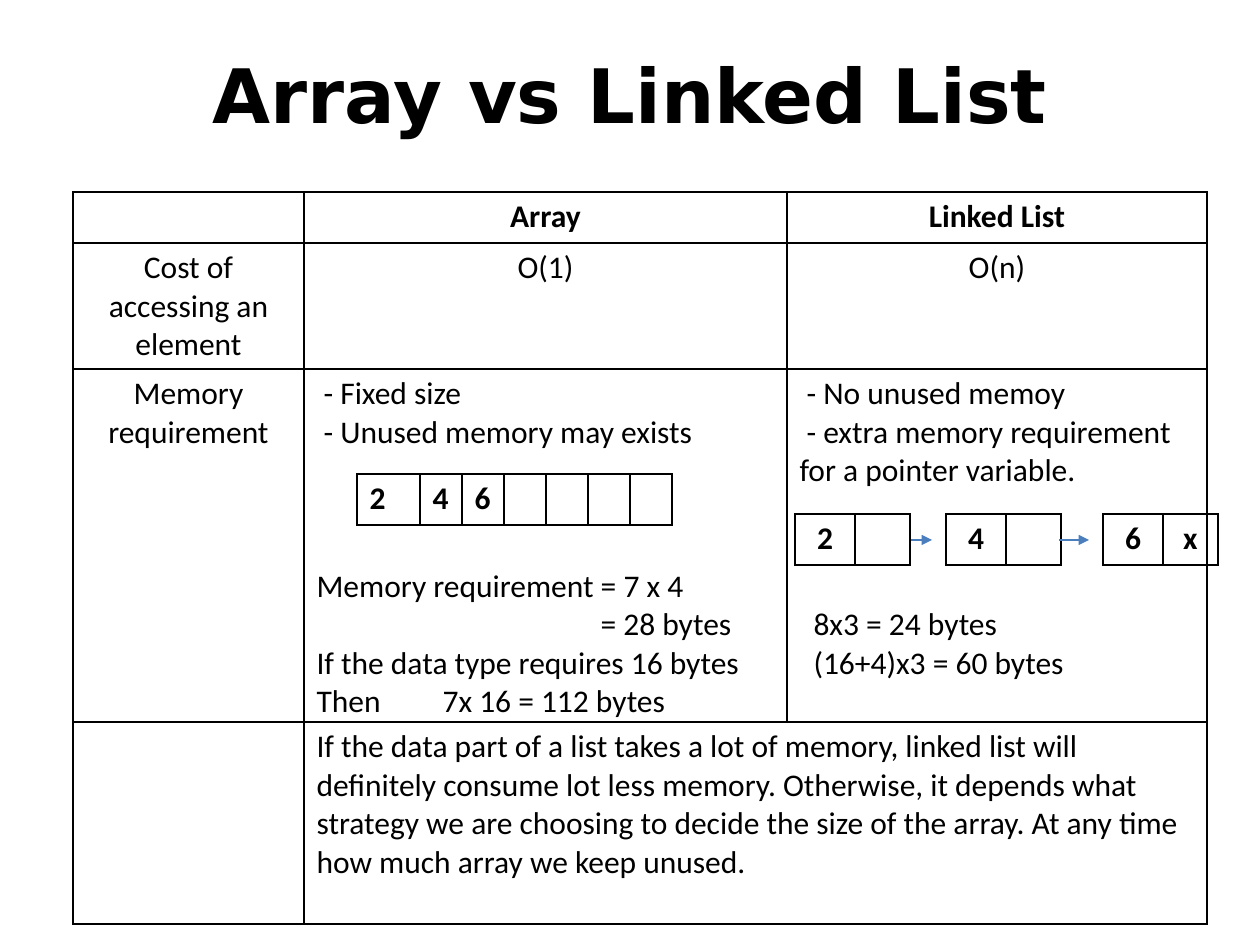
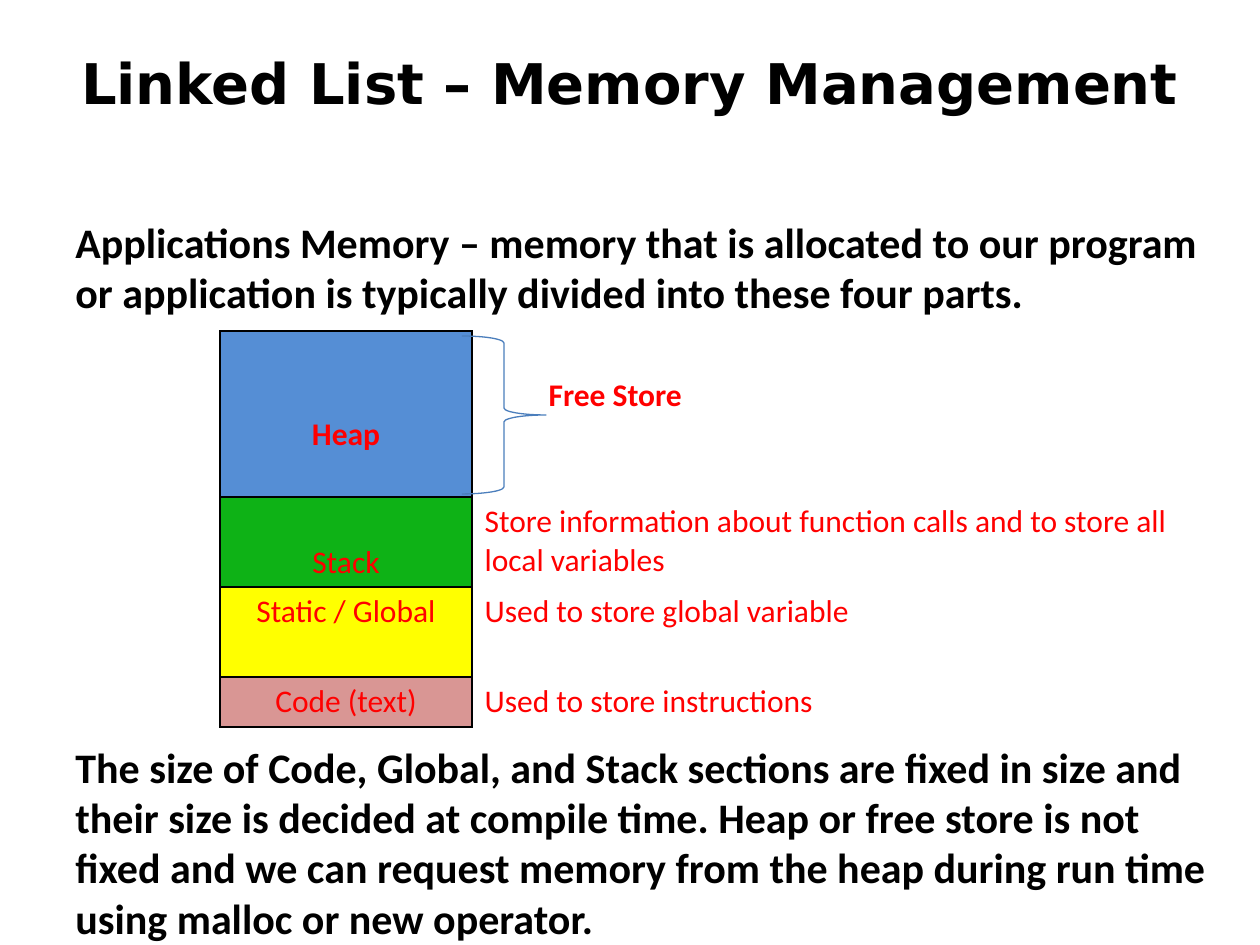
from dataclasses import dataclass

from lxml import etree
from pptx import Presentation
from pptx import util as u
from pptx.dml.color import RGBColor
from pptx.enum import shapes, text
from pptx.oxml import ns

EMU_PER_PX = 914400 / 126
BLACK, RED, STEEL = "000000", "FF0000", "4B7EBC"
TITLE_FONT, BODY_FONT = "DejaVu Sans", "Calibri"
LEFT, CENTER = text.PP_ALIGN.LEFT, text.PP_ALIGN.CENTER
CELL_TOP = 6


@dataclass
class Para:
    """A line of cell text with its gap before (points) and indents (px)."""
    words: str
    before: int = 0
    left: int = 0
    first: int = 0
    tab: int = 0


def px(length):
    """Turn px into EMU."""
    return u.Emu(round(length * EMU_PER_PX))


def rgb(code):
    """Turn a hex string into a colour."""
    return RGBColor.from_string(code)


def write(paragraph, words, size=18, bold=False, color=BLACK, font=BODY_FONT, align=LEFT):
    """Add one formatted run to a paragraph."""
    paragraph.alignment = align
    run = paragraph.add_run()
    run.text = words
    run.font.name, run.font.size, run.font.bold = font, u.Pt(size), bold
    run.font.color.rgb = rgb(color)


def indent(paragraph, para):
    """Give a paragraph its indents, tab stop and space before."""
    props = paragraph._p.get_or_add_pPr()
    props.set("marL", str(px(para.left)))
    props.set("indent", str(px(para.first)))
    if para.tab:
        stops = etree.SubElement(props, ns.qn("a:tabLst"))
        etree.SubElement(stops, ns.qn("a:tab"), pos=str(px(para.tab)), algn="l")
    if para.before:
        paragraph.space_before = u.Pt(para.before)


def add_title(slide, words, size):
    """Fill the title placeholder."""
    title = slide.shapes.title
    title.left, title.top, title.width, title.height = map(px, (63, 42, 1134, 154))
    title.text_frame.vertical_anchor = text.MSO_ANCHOR.TOP
    title.text_frame.auto_size = text.MSO_AUTO_SIZE.NONE
    write(title.text_frame.paragraphs[0], words, size, True, font=TITLE_FONT, align=CENTER)


def add_statement(slide, top, height, words):
    """Add a bold full-width statement."""
    frame = slide.shapes.add_textbox(*map(px, (63, top, 1166, height))).text_frame
    frame.word_wrap = True
    write(frame.paragraphs[0], words, 24, True)


def add_grid(slide, left, top, widths, heights):
    """Add a plain table with the given column widths and row heights."""
    frame = slide.shapes.add_table(len(heights), len(widths), *map(
        px, (left, top, sum(widths), sum(heights))))
    grid = frame.table
    grid.first_row = grid.horz_banding = False
    for column, width in zip(grid.columns, widths):
        column.width = px(width)
    for row, height in zip(grid.rows, heights):
        row.height = px(height)
    return grid


def style_cell(cell, fill=None, sides="LRTB"):
    """Draw the chosen cell borders and set the fill."""
    props = cell._tc.get_or_add_tcPr()
    for side in "LRTB":
        line = etree.SubElement(props, ns.qn(f"a:ln{side}"), w=str(u.Pt(1)))
        if side in sides:
            solid = etree.SubElement(line, ns.qn("a:solidFill"))
            etree.SubElement(solid, ns.qn("a:srgbClr"), val=BLACK)
        else:
            etree.SubElement(line, ns.qn("a:noFill"))
    if fill:
        cell.fill.solid()
        cell.fill.fore_color.rgb = rgb(fill)
    else:
        cell.fill.background()


def fill_cell(cell, content, top=CELL_TOP, fill=None, sides="LRTB", **look):
    """Style a cell and write a string or a list of Para into it."""
    style_cell(cell, fill, sides)
    cell.margin_top, cell.margin_bottom = px(top), 0
    paras = [Para(content)] if isinstance(content, str) else content
    for index, para in enumerate(paras):
        frame = cell.text_frame
        paragraph = frame.add_paragraph() if index else frame.paragraphs[0]
        indent(paragraph, para)
        if para.words:
            write(paragraph, para.words, **look)


def add_boxes(slide, left, top, widths, values, align):
    """Add a one-row table of memory boxes."""
    boxes = add_grid(slide, left, top, widths, [51])
    for cell, value in zip(boxes.rows[0].cells, values):
        fill_cell(cell, value, bold=True, align=align)


def add_pointer(slide, start, end, y):
    """Add an arrow from one node towards the next."""
    arrow = slide.shapes.add_connector(
        shapes.MSO_CONNECTOR.STRAIGHT, *map(px, (start, y, end, y)))
    arrow.line.color.rgb = rgb(STEEL)
    arrow.line.width = u.Pt(0.75)
    etree.SubElement(arrow.line._get_or_add_ln(), ns.qn("a:tailEnd"), type="triangle")
    etree.SubElement(arrow._element.spPr, ns.qn("a:effectLst"))


def add_brace(slide, left, top, width, height):
    """Add an outlined right brace."""
    brace = slide.shapes.add_shape(
        shapes.MSO_SHAPE.RIGHT_BRACE, *map(px, (left, top, width, height)))
    brace.shadow.inherit = False
    brace.fill.background()
    brace.line.color.rgb = rgb(STEEL)
    brace.line.width = u.Pt(0.75)


def build_comparison(slide):
    """Compare the cost and memory of arrays and linked lists."""
    add_title(slide, "Array vs Linked List", 42.9)
    array_memory = [
        Para("- Fixed size", first=7),
        Para("- Unused memory may exists", first=7),
        Para("Memory requirement = 7 x 4", before=66),
        Para("= 28 bytes", left=284),
        Para("If the data type requires 16 bytes"),
        Para("Then\t7x 16 = 112 bytes", tab=86),
    ]
    list_memory = [
        Para("- No unused memoy", first=7),
        Para("- extra memory requirement for a pointer variable.", first=7),
        Para("8x3 = 24 bytes", before=66, left=14),
        Para("(16+4)x3 = 60 bytes", left=14),
    ]
    verdict = ("If the data part of a list takes a lot of memory, linked list will definitely "
               "consume lot less memory. Otherwise, it depends what strategy we are choosing "
               "to decide the size of the array. At any time how much array we keep unused.")
    rows = [
        ("", "Array", "Linked List"),
        ("Cost of accessing an element", "O(1)", "O(n)"),
        ("Memory requirement", array_memory, list_memory),
        ("", verdict, ""),
    ]
    comparison = add_grid(slide, 73, 192, [231, 483, 420], [51, 126, 353, 202])
    comparison.cell(3, 1).merge(comparison.cell(3, 2))
    for r, row in enumerate(rows):
        for c, content in enumerate(row):
            align = CENTER if c == 0 or r < 2 else LEFT
            fill_cell(comparison.cell(r, c), content, bold=r == 0, align=align)

    add_boxes(slide, 357, 474, [63] + [42] * 6, ["2", "4", "6", "", "", "", ""], LEFT)
    for left, node in ((795, ("2", "")), (946, ("4", "")), (1103, ("6", "x"))):
        add_boxes(slide, left, 514, [60, 55], node, CENTER)
    add_pointer(slide, 1059, 1089, 540)
    add_pointer(slide, 911, 932, 540)


def build_memory(slide):
    """Show the four parts of application memory."""
    add_title(slide, "Linked List – Memory Management", 32)
    parts = [
        ("Heap", 84, "558ED5", [Para("Free Store", left=64)], 45, 166),
        ("Stack", 46, "0EB216", "Store information about function calls and to store all "
         "local variables", CELL_TOP, 90),
        ("Static / Global", CELL_TOP, "FFFF00", "Used to store global variable", CELL_TOP, 90),
        ("Code (text)", CELL_TOP, "D99694", "Used to store instructions", CELL_TOP, 50),
    ]
    memory = add_grid(slide, 220, 331, [252, 756], [part[-1] for part in parts])
    for r, (name, name_top, fill, use, use_top, _) in enumerate(parts):
        look = dict(color=RED, bold=r == 0)
        fill_cell(memory.cell(r, 0), name, name_top, fill, align=CENTER, **look)
        fill_cell(memory.cell(r, 1), use, use_top, sides="L", **look)
    add_brace(slide, 462, 336, 84, 158)
    add_statement(slide, 210, 115, "Applications Memory – memory that is allocated to our "
                  "program or application is typically divided into these four parts.")
    add_statement(slide, 735, 217, "The size of Code, Global, and Stack sections are fixed in "
                  "size and their size is decided at compile time. Heap or free store is not "
                  "fixed and we can request memory from the heap during run time using malloc "
                  "or new operator.")


def main():
    """Build the deck."""
    deck = Presentation()
    deck.slide_width, deck.slide_height = px(1260), px(945)
    for build in (build_comparison, build_memory):
        build(deck.slides.add_slide(deck.slide_layouts[5]))
    deck.save("out.pptx")


if __name__ == "__main__":
    main()
